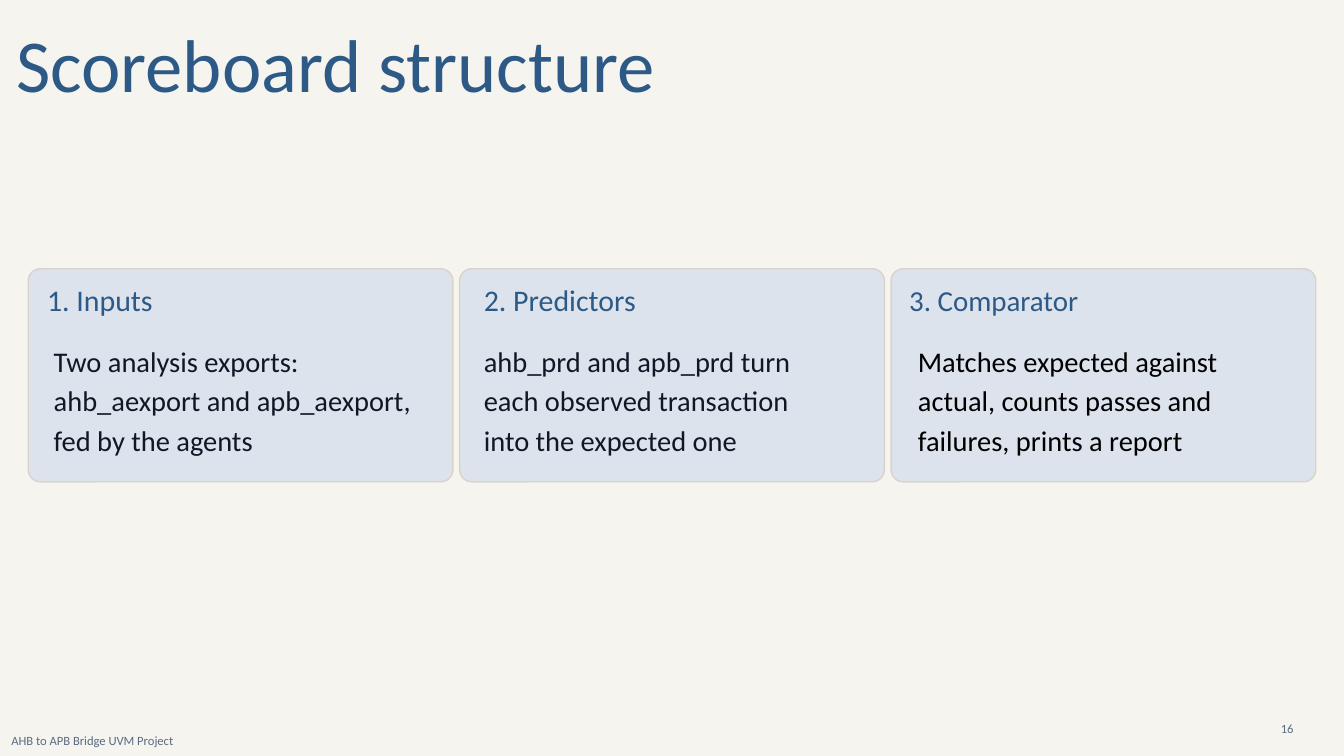
from dataclasses import dataclass

from pptx import Presentation
from pptx.dml.color import RGBColor
from pptx.enum import shapes, text
from pptx.util import Pt

TITLE = "Scoreboard structure"
FOOTER = "AHB to APB Bridge UVM Project"
PAGE_NUMBER = "16"

# Insets are measured from the left edge of the card.
CARDS = [
    dict(heading="1. Inputs", heading_size=32, heading_inset=20.16,
         body="Two analysis exports: ahb_aexport and apb_aexport, fed by the agents",
         body_color="101828", body_inset=27.36, body_width=424.8),
    dict(heading="2. Predictors", heading_size=32, heading_inset=25.92,
         body="ahb_prd and apb_prd turn each observed transaction into the expected one",
         body_color="101828", body_inset=25.92, body_width=348.48),
    dict(heading="3. Comparator", heading_size=31, heading_inset=19.44,
         body="Matches expected against actual, counts passes and failures, prints a report",
         body_color="000000", body_inset=28.8, body_width=348.48),
]


@dataclass(frozen=True)
class Theme:
    font: str = "Calibri"
    background: str = "F6F4EE"
    card: str = "DCE3EC"
    border: str = "D8D4C8"
    accent: str = "2D5986"
    muted: str = "5B6B82"
    title_size: float = 80
    body_size: float = 30.5
    footer_size: float = 13.5


THEME = Theme()
PAGE_WIDTH, PAGE_HEIGHT = 1440, 810
CARD_LEFT, CARD_TOP = 30.24, 288
CARD_WIDTH, CARD_HEIGHT = 455.04, 228.24
CARD_GAP = 7.2
CARD_RADIUS = 12.96
HEADING_WIDTH = 348.48
HEADING_BASE = 340  # shared bottom edge of the headings
BODY_TOP, BODY_HEIGHT = 362.16, 129.6


def rgb(value):
    return RGBColor.from_string(value)


def write(box, content, size, color, spacing,
          anchor=text.MSO_ANCHOR.TOP, align=text.PP_ALIGN.LEFT):
    frame = box.text_frame
    frame.word_wrap = True
    frame.auto_size = text.MSO_AUTO_SIZE.NONE
    frame.vertical_anchor = anchor
    frame.margin_left = frame.margin_right = Pt(0)
    frame.margin_top = frame.margin_bottom = Pt(0)
    para = frame.paragraphs[0]
    para.alignment = align
    para.line_spacing = Pt(spacing)
    span = para.add_run()
    span.text = content
    span.font.name = THEME.font
    span.font.size = Pt(size)
    span.font.color.rgb = rgb(color)


def add_text(page, left, top, width, height, *content, **layout):
    box = page.shapes.add_textbox(Pt(left), Pt(top), Pt(width), Pt(height))
    write(box, *content, **layout)


def add_title(page):
    title = page.shapes.title
    title.left, title.top = Pt(17.28), Pt(2.88)
    title.width, title.height = Pt(938.16), Pt(108)
    write(title, TITLE, THEME.title_size, THEME.accent, 112)


def add_card(page, index, card):
    left = CARD_LEFT + index * (CARD_WIDTH + CARD_GAP)
    panel = page.shapes.add_shape(
        shapes.MSO_SHAPE.ROUNDED_RECTANGLE,
        Pt(left), Pt(CARD_TOP), Pt(CARD_WIDTH), Pt(CARD_HEIGHT))
    panel.adjustments[0] = CARD_RADIUS / CARD_HEIGHT
    panel.shadow.inherit = False
    panel.fill.solid()
    panel.fill.fore_color.rgb = rgb(THEME.card)
    panel.line.color.rgb = rgb(THEME.border)
    panel.line.width = Pt(1.5)

    size = card["heading_size"]
    spacing = size * 1.2
    add_text(page, left + card["heading_inset"], HEADING_BASE - spacing,
             HEADING_WIDTH, spacing,
             card["heading"], size, THEME.accent, spacing)
    add_text(page, left + card["body_inset"], BODY_TOP,
             card["body_width"], BODY_HEIGHT,
             card["body"], THEME.body_size, card["body_color"], 42.7)


def add_footer(page):
    style = (THEME.footer_size, THEME.muted, 16.2)
    middle = text.MSO_ANCHOR.MIDDLE
    add_text(page, 12.24, 776.88, 864, 33.84, FOOTER, *style, anchor=middle)
    add_text(page, 1332, 763.2, 54, 33.84, PAGE_NUMBER, *style,
             anchor=middle, align=text.PP_ALIGN.RIGHT)


def main():
    deck = Presentation()
    deck.slide_width, deck.slide_height = Pt(PAGE_WIDTH), Pt(PAGE_HEIGHT)
    page = deck.slides.add_slide(deck.slide_layouts.get_by_name("Title Only"))
    page.background.fill.solid()
    page.background.fill.fore_color.rgb = rgb(THEME.background)
    add_title(page)
    for index, card in enumerate(CARDS):
        add_card(page, index, card)
    add_footer(page)
    deck.save("out.pptx")


if __name__ == "__main__":
    main()
